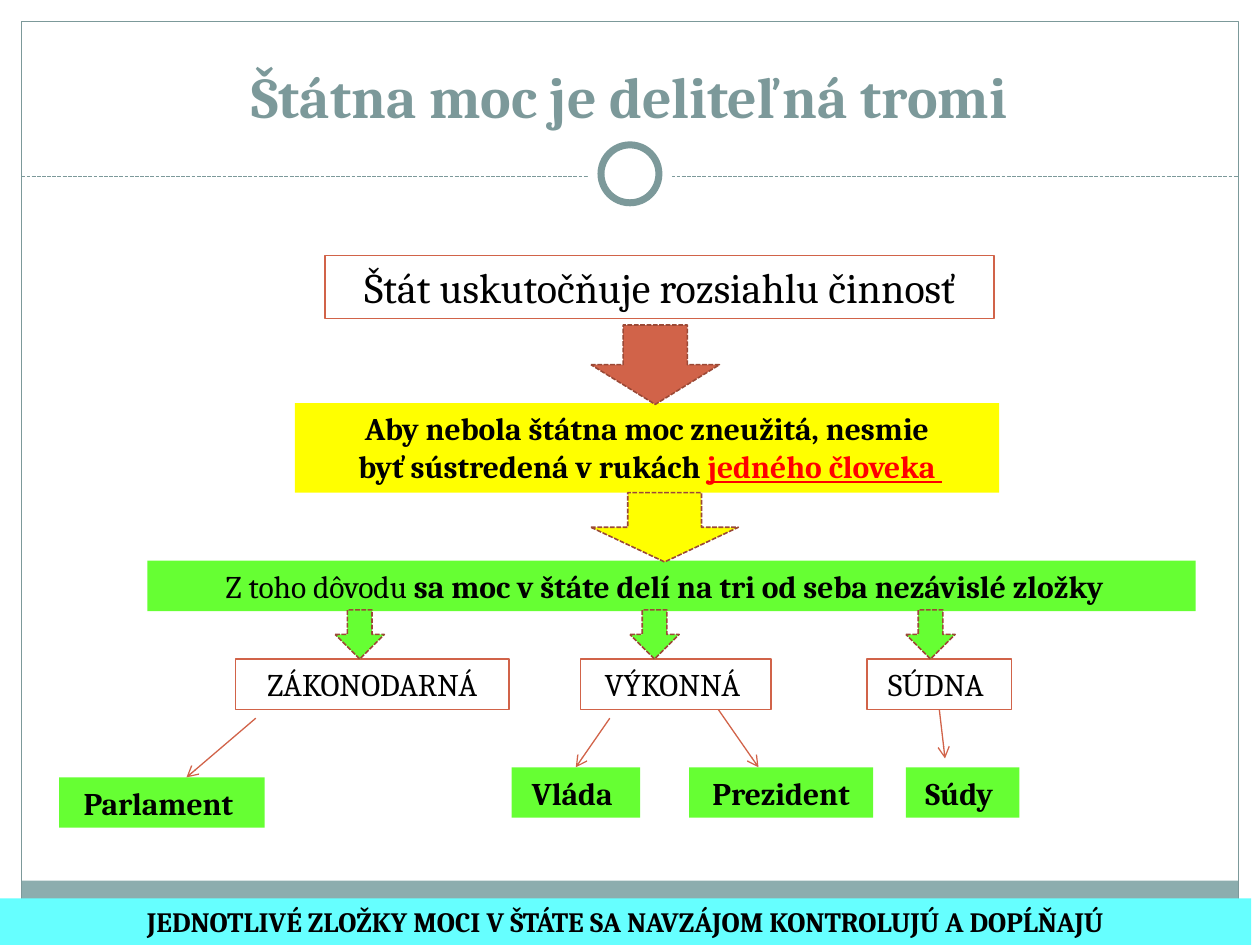
from dataclasses import dataclass
from typing import Any, Optional

import pptx
import pptx.dml.color
import pptx.enum.dml
import pptx.enum.shapes
import pptx.enum.text
import pptx.oxml
import pptx.oxml.ns
import pptx.util

Shapes = pptx.enum.shapes.MSO_SHAPE
Dash = pptx.enum.dml.MSO_LINE
Anchor = pptx.enum.text.MSO_ANCHOR

# The slide is a grid of 100 columns by 75 rows.
CELL = pptx.util.Inches(0.1)
COLUMNS, ROWS = 100, 75


@dataclass(frozen=True)
class Theme:
    font: str = "Cambria"
    white: str = "FFFFFF"
    black: str = "000000"
    red: str = "FF0000"
    frame: str = "7C999A"
    band: str = "8CADAE"
    accent: str = "D16349"
    accent_dark: str = "9B4936"
    yellow: str = "FFFF00"
    green: str = "66FF33"
    cyan: str = "66FFFF"
    title_size: float = 33
    lead_size: float = 24
    body_size: float = 18
    footer_size: float = 16
    thin: float = 0.75
    arrow_line: float = 0.9
    ring_line: float = 4


THEME = Theme()


@dataclass(frozen=True)
class Area:
    column: float
    row: float
    columns: float
    rows: float


@dataclass(frozen=True)
class Run:
    text: str
    bold: Optional[bool] = None
    color: Optional[str] = None
    underline: Optional[bool] = None


@dataclass(frozen=True)
class Box:
    area: Area
    paragraphs: tuple[tuple[Run, ...], ...]
    fill: Optional[str] = None
    line: Optional[str] = None
    size: float = THEME.body_size
    bold: bool = False
    color: str = THEME.black
    anchor: Any = Anchor.TOP


@dataclass(frozen=True)
class Link:
    start: tuple[float, float]
    end: tuple[float, float]
    source: Optional[str] = None
    target: Optional[str] = None


def grid(cells: float) -> int:
    return round(cells * CELL)


def rgb(color: str) -> pptx.dml.color.RGBColor:
    return pptx.dml.color.RGBColor.from_string(color)


def draw_shape(slide: Any, kind: Any, area: Area, fill: Optional[str] = None,
               line: Optional[str] = None, width: float = THEME.thin, dash: Any = None) -> Any:
    shape = slide.shapes.add_shape(kind, grid(area.column), grid(area.row),
                                   grid(area.columns), grid(area.rows))
    shape.shadow.inherit = False
    if fill:
        shape.fill.solid()
        shape.fill.fore_color.rgb = rgb(fill)
    else:
        shape.fill.background()
    if line:
        shape.line.color.rgb = rgb(line)
        shape.line.width = pptx.util.Pt(width)
        shape.line.dash_style = dash
    else:
        shape.line.fill.background()
    return shape


def draw_box(slide: Any, box: Box) -> Any:
    shape = draw_shape(slide, Shapes.RECTANGLE, box.area, box.fill, box.line)
    frame = shape.text_frame
    frame.word_wrap = False
    frame.vertical_anchor = box.anchor
    for index, runs in enumerate(box.paragraphs):
        paragraph = frame.add_paragraph() if index else frame.paragraphs[0]
        paragraph.alignment = pptx.enum.text.PP_ALIGN.CENTER
        paragraph.font.name = THEME.font
        paragraph.font.size = pptx.util.Pt(box.size)
        paragraph.font.bold = box.bold
        paragraph.font.color.rgb = rgb(box.color)
        for part in runs:
            run = paragraph.add_run()
            run.text = part.text
            run.font.bold = part.bold
            run.font.underline = part.underline
            if part.color:
                run.font.color.rgb = rgb(part.color)
    return shape


def draw_line(slide: Any, start: tuple[float, float], end: tuple[float, float], color: str) -> Any:
    line = slide.shapes.add_connector(pptx.enum.shapes.MSO_CONNECTOR.STRAIGHT,
                                      *(grid(cells) for cells in start + end))
    line.line.color.rgb = rgb(color)
    line.line.width = pptx.util.Pt(THEME.thin)
    line._element.spPr.append(pptx.oxml.parse_xml(
        f'<a:effectLst {pptx.oxml.ns.nsdecls("a")}/>'))
    return line


def draw_link(slide: Any, link: Link, boxes: dict[str, Any]) -> None:
    line = draw_line(slide, link.start, link.end, THEME.accent)
    line.line._get_or_add_ln().append(pptx.oxml.parse_xml(
        f'<a:tailEnd {pptx.oxml.ns.nsdecls("a")} type="arrow"/>'))
    if link.source:
        line.begin_connect(boxes[link.source], 2)
    if link.target:
        line.end_connect(boxes[link.target], 0)


def draw_frame(slide: Any) -> None:
    """Draw the border, the bottom band and the ring on the dashed rule."""
    margin, rule, middle = 1.7, 14, COLUMNS / 2
    inner = COLUMNS - 2 * margin
    draw_shape(slide, Shapes.RECTANGLE, Area(margin, 69.9, inner, 3.4), THEME.band)
    draw_shape(slide, Shapes.RECTANGLE, Area(margin, margin, inner, ROWS - 2 * margin),
               line=THEME.frame)
    line = draw_line(slide, (margin, rule), (COLUMNS - margin, rule), THEME.frame)
    line.line.dash_style = Dash.SQUARE_DOT
    for diameter, outline in ((6.7, None), (4.6, THEME.frame)):
        area = Area(middle - diameter / 2, 13.8 - diameter / 2, diameter, diameter)
        draw_shape(slide, Shapes.OVAL, area, THEME.white, outline, THEME.ring_line)


TITLE = Box(Area(3.3, 2.5, 93.3, 8.3), ((Run("Štátna moc je deliteľná tromi"),),),
            size=THEME.title_size, bold=True, color=THEME.frame, anchor=Anchor.BOTTOM)
STATEMENTS = (
    Box(Area(25.8, 20.3, 53.1, 5), ((Run("Štát uskutočňuje rozsiahlu činnosť"),),),
        line=THEME.accent, size=THEME.lead_size),
    Box(Area(23.4, 32, 55.9, 7.1),
        ((Run("Aby nebola štátna moc zneužitá, nesmie"),),
         (Run(" byť sústredená v rukách "),
          Run("jedného človeka ", color=THEME.red, underline=True))),
        fill=THEME.yellow, bold=True),
    Box(Area(11.7, 44.5, 83.2, 4),
        ((Run("Z toho dôvodu "),
          Run("sa moc v štáte delí na tri od seba nezávislé zložky  ", bold=True)),),
        fill=THEME.green),
)
FOOTER = Box(Area(0, 71.3, 99.3, 3.7),
             ((Run("JEDNOTLIVÉ ZLOŽKY MOCI V ŠTÁTE SA NAVZÁJOM KONTROLUJÚ A DOPĹŇAJÚ"),),),
             fill=THEME.cyan, size=THEME.footer_size, bold=True)
# Text, left column, width
BRANCHES = (("ZÁKONODARNÁ", 18.7, 21.7), ("VÝKONNÁ ", 46.1, 15.1), ("SÚDNA ", 68.8, 11.5))
# Text, left column, top row, width
BODIES = (("Parlament ", 4.7, 61.7, 16.3), ("Vláda ", 40.6, 60.9, 10.2),
          ("Prezident", 54.7, 60.9, 14.6), ("Súdy ", 71.9, 60.9, 9))
ARROWS = ((Area(46.9, 25.8, 10.2, 6.3), THEME.accent),
          (Area(46.9, 39.1, 11.7, 5.5), THEME.yellow),
          *((Area(column, 48.4, 3.9, 3.9), THEME.green) for column in (26.6, 50, 71.9)))
LINKS = (Link((20.3, 57), (14.8, 61.7)),
         Link((48.4, 57), (45.7, 60.9), target="Vláda "),
         Link((57, 56.3), (60.2, 60.9)),
         Link((74.5, 56.3), (75, 60.2), source="SÚDNA "))


def main() -> None:
    presentation = pptx.Presentation()
    presentation.slide_width, presentation.slide_height = grid(COLUMNS), grid(ROWS)
    slide = presentation.slides.add_slide(presentation.slide_layouts[6])
    draw_frame(slide)
    for box in (TITLE, *STATEMENTS):
        draw_box(slide, box)
    boxes = {}
    for text, column, width in BRANCHES:
        boxes[text] = draw_box(slide, Box(Area(column, 52.3, width, 4), ((Run(text),),),
                                          line=THEME.accent))
    for text, column, row, width in BODIES:
        boxes[text] = draw_box(slide, Box(Area(column, row, width, 4), ((Run(text),),),
                                          fill=THEME.green, bold=True))
    for area, fill in ARROWS:
        draw_shape(slide, Shapes.DOWN_ARROW, area, fill, THEME.accent_dark,
                   THEME.arrow_line, Dash.SQUARE_DOT)
    for link in LINKS:
        draw_link(slide, link, boxes)
    draw_box(slide, FOOTER)
    presentation.save("out.pptx")


if __name__ == "__main__":
    main()
